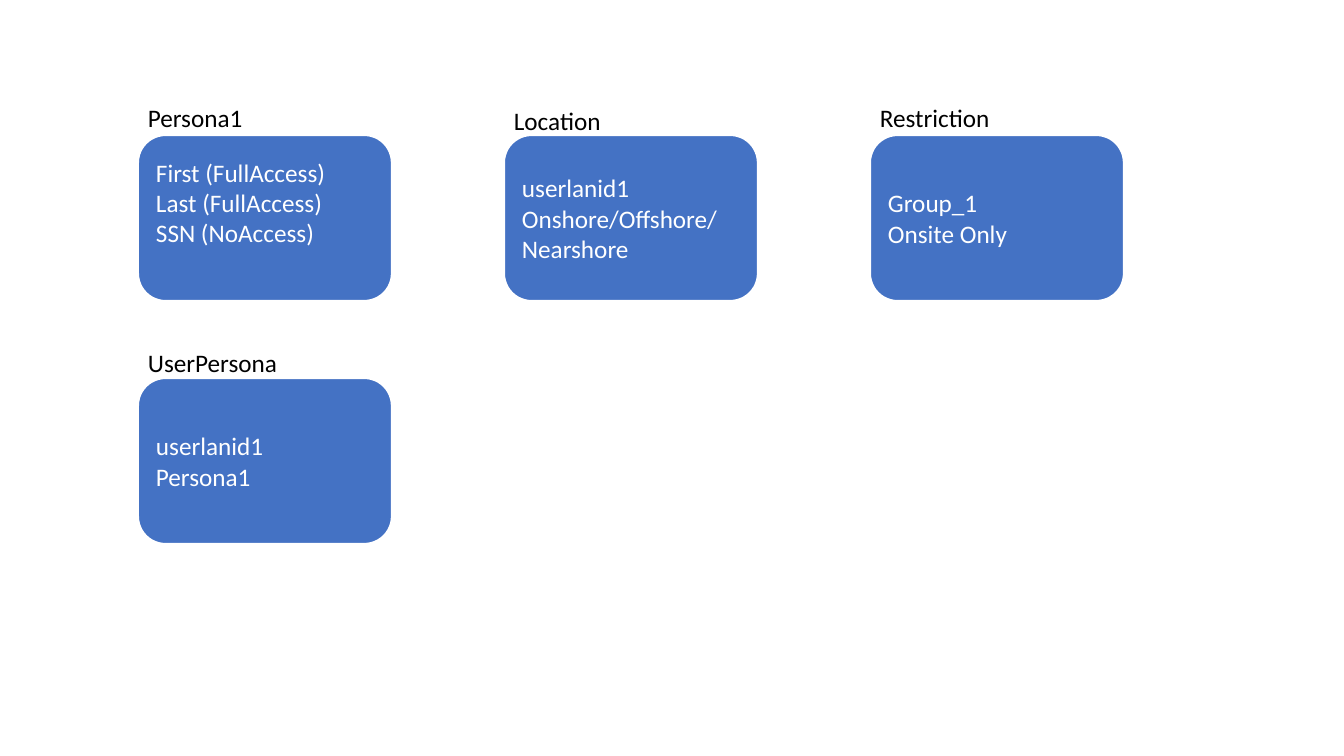
"""Build the slide of access entities: personas, location and restriction."""
import dataclasses

import pptx
import pptx.dml.color
import pptx.enum.shapes
import pptx.enum.text
import pptx.util

WHITE = pptx.dml.color.RGBColor(0xFF, 0xFF, 0xFF)
BLACK = pptx.dml.color.RGBColor(0x00, 0x00, 0x00)
BLUE = pptx.dml.color.RGBColor(0x44, 0x72, 0xC4)

EMU_PER_PIXEL = 914400 / 100.8
LEFT, COLUMN_STEP = 138, 366
TOP, ROW_STEP = 135, 243
CARD_WIDTH, CARD_HEIGHT = 254, 166
TITLE_WIDTH, TITLE_HEIGHT = 210, 40
BOTTOM_INSET = 5


@dataclasses.dataclass(frozen=True)
class Entity:
    title: str
    attributes: tuple[str, ...]
    column: int
    row: int
    title_rise: int
    bottom_inset: int = BOTTOM_INSET


ENTITIES = (
    Entity("Persona1", ("First (FullAccess)", "Last (FullAccess)", "SSN (NoAccess)"),
           0, 0, 38, BOTTOM_INSET + 31),
    Entity("Restriction", ("Group_1", "Onsite Only"), 2, 0, 38),
    Entity("Location", ("userlanid1", "Onshore/Offshore/Nearshore"), 1, 0, 35),
    Entity("UserPersona", ("userlanid1", "Persona1"), 0, 1, 36),
)


def px(pixels: int) -> pptx.util.Emu:
    return pptx.util.Emu(round(pixels * EMU_PER_PIXEL))


def write(frame, lines: tuple[str, ...], color: pptx.dml.color.RGBColor) -> None:
    frame.word_wrap = True
    for index, line in enumerate(lines):
        paragraph = frame.add_paragraph() if index else frame.paragraphs[0]
        paragraph.alignment = pptx.enum.text.PP_ALIGN.LEFT
        run = paragraph.add_run()
        run.text = line
        run.font.name = "Calibri"
        run.font.size = pptx.util.Pt(18)
        run.font.color.rgb = color


def draw_entity(slide, entity: Entity) -> None:
    left = LEFT + entity.column * COLUMN_STEP
    top = TOP + entity.row * ROW_STEP
    card = slide.shapes.add_shape(
        pptx.enum.shapes.MSO_SHAPE.ROUNDED_RECTANGLE,
        px(left), px(top), px(CARD_WIDTH), px(CARD_HEIGHT))
    card.shadow.inherit = False
    card.fill.solid()
    card.fill.fore_color.rgb = BLUE
    card.line.color.rgb = WHITE
    card.line.width = pptx.util.Pt(1.5)
    card.text_frame.vertical_anchor = pptx.enum.text.MSO_ANCHOR.MIDDLE
    card.text_frame.margin_bottom = px(entity.bottom_inset)
    write(card.text_frame, entity.attributes, WHITE)

    title = slide.shapes.add_textbox(
        px(left), px(top - entity.title_rise), px(TITLE_WIDTH), px(TITLE_HEIGHT))
    title.text_frame.auto_size = pptx.enum.text.MSO_AUTO_SIZE.SHAPE_TO_FIT_TEXT
    write(title.text_frame, (entity.title,), BLACK)


def main() -> None:
    deck = pptx.Presentation()
    deck.slide_width, deck.slide_height = px(1344), px(756)
    slide = deck.slides.add_slide(deck.slide_layouts[6])
    for entity in ENTITIES:
        draw_entity(slide, entity)
    deck.save("out.pptx")


main()
